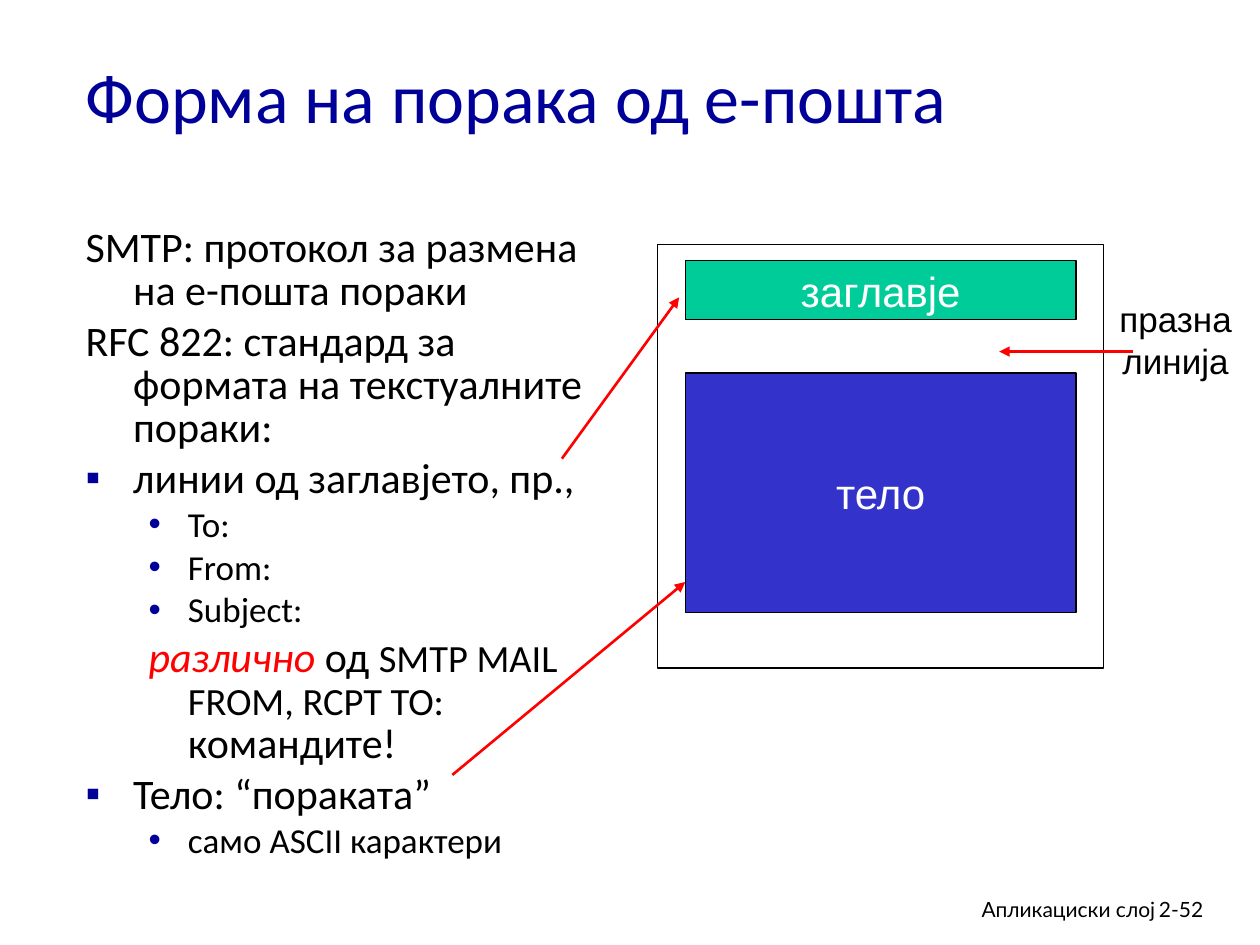
from lxml.etree import SubElement
from pptx import Presentation
from pptx.dml.color import RGBColor
from pptx.enum.shapes import MSO_CONNECTOR as CONN, MSO_SHAPE as SHAPE
from pptx.enum.text import MSO_ANCHOR as ANCHOR, MSO_AUTO_SIZE as AUTO, PP_ALIGN as ALIGN
from pptx.oxml.ns import qn
from pptx.util import Pt

BLACK, WHITE, NAVY, RED = "000000", "FFFFFF", "000099", "FF0000"
GREEN, BLUE = "00CC99", "3333CC"

LINES = [
    (0, None, [("SMTP: протокол за размена на е-пошта пораки", 24)]),
    (0, None, [("RFC 822: стандард за формата на текстуалните пораки:", 24)]),
    (0, "▪", [("линии од заглавјето, пр.,", 24)]),
    (1, "•", [("To:", 20)]),
    (1, "•", [("From:", 20)]),
    (1, "•", [("Subject:", 20)]),
    (1, None, [("различно ", 24, RED, True), ("од ", 24),
               ("SMTP MAIL FROM, RCPT TO:", 22), (" командите!", 24)]),
    (0, "▪", [("Тело: “пораката”", 24)]),
    (1, "•", [("само ASCII карактери", 20)]),
]
INDENTS = [(27.2, -27.2), (58.5, -22.5)]


def rgb(value):
    """Turn a hex string into a colour."""
    return RGBColor.from_string(value)


def style(r, size, font, color=BLACK, italic=False):
    """Format one run."""
    r.font.size, r.font.name, r.font.italic = Pt(size), font, italic
    r.font.color.rgb = rgb(color)


def add_text(s, box, text, size, font, color=BLACK, align=ALIGN.LEFT,
             anchor=ANCHOR.TOP, wrap=True):
    """Add a text box with one format throughout."""
    sp = s.shapes.add_textbox(*map(Pt, box))
    fill_text(sp.text_frame, text, size, font, color, align, anchor, wrap)
    return sp


def fill_text(tf, text, size, font, color, align, anchor, wrap):
    """Set and format the text of a frame."""
    tf.text, tf.word_wrap, tf.vertical_anchor = text, wrap, anchor
    for p in tf.paragraphs:
        p.alignment = align
        for r in p.runs:
            style(r, size, font, color)


def add_rect(s, box, line_width, fill=None, text=""):
    """Add an outlined rectangle, optionally filled and labelled."""
    sp = s.shapes.add_shape(SHAPE.RECTANGLE, *map(Pt, box))
    sp.shadow.inherit = False
    if fill:
        sp.fill.solid()
        sp.fill.fore_color.rgb = rgb(fill)
    else:
        sp.fill.background()
    sp.line.color.rgb, sp.line.width = rgb(BLACK), Pt(line_width)
    if text:
        fill_text(sp.text_frame, text, 24, "Arial", WHITE, ALIGN.CENTER, ANCHOR.MIDDLE, False)


def add_arrow(s, start, end):
    """Add a red arrow that points at its end."""
    c = s.shapes.add_connector(CONN.STRAIGHT, *map(Pt, start + end))
    c.line.color.rgb, c.line.width = rgb(RED), Pt(1.5)
    SubElement(c.line._get_or_add_ln(), qn("a:tailEnd"), type="triangle")
    SubElement(c._element.spPr, qn("a:effectLst"))


def set_bullet(p, level, char):
    """Set the hanging indent and the bullet of a paragraph."""
    pPr = p._p.get_or_add_pPr()
    margin, indent = INDENTS[level]
    pPr.set("marL", str(Pt(margin)))
    pPr.set("indent", str(Pt(indent)))
    if char:
        SubElement(SubElement(pPr, qn("a:buClr")), qn("a:srgbClr"), val=NAVY)
        SubElement(pPr, qn("a:buFont"), typeface="Arial")
        SubElement(pPr, qn("a:buChar"), char=char)
    else:
        SubElement(pPr, qn("a:buNone"))


def add_outline(s, box):
    """Place the bulleted explanation."""
    tf = s.shapes.add_textbox(*map(Pt, box)).text_frame
    tf.word_wrap = True
    for i, (level, char, runs) in enumerate(LINES):
        p = tf.add_paragraph() if i else tf.paragraphs[0]
        p.level, p.line_spacing = level, 0.85
        p.space_before = Pt(0.2 * runs[0][1])
        set_bullet(p, level, char)
        for text, size, *look in runs:
            r = p.add_run()
            r.text = text
            style(r, size, "Calibri", *look)


def add_message(s, left, top, width, height):
    """Place the message diagram with its label and arrows."""
    margin = 15.8
    inner = width - 2 * margin
    add_rect(s, (left + margin, top + 9.3, inner, 33.8), 0.75, GREEN, "заглавје")
    add_rect(s, (left + margin, top + 73.4, inner, 136.8), 0.75, BLUE, "тело")
    add_rect(s, (left, top, width, height), 1)
    label = add_text(s, (left + width + 1.5, top + 26.6, 79.2, 55.4), "празна\nлинија",
                     20, "Arial", align=ALIGN.CENTER, wrap=False)
    label.text_frame.auto_size = AUTO.SHAPE_TO_FIT_TEXT
    for x1, y1, x2, y2 in [(-54.7, 122.4, 12.3, 30.2),
                           (-117.3, 303.1, margin, 192.9),
                           (271.5, 61.2, 195.2, 61.2)]:
        add_arrow(s, (left + x1, top + y1), (left + x2, top + y2))


def add_footer(s, left, top, width, height):
    """Place the chapter name and the page number."""
    split = 228.2
    add_text(s, (left, top, split, height), "Апликациски слој", 12, "Lato", align=ALIGN.RIGHT)
    add_text(s, (left + split - 12.2, top, width - split + 12.2, height), "2-52", 12, "Lato")


def main():
    """Build and save the slide."""
    prs = Presentation()
    prs.slide_width, prs.slide_height = Pt(720), Pt(540)
    s = prs.slides.add_slide(prs.slide_layouts[6])
    add_footer(s, 439.2, 509, 269.3, 22)
    add_text(s, (41.8, 9.4, 612, 90), "Форма на порака од е-пошта", 40, "Calibri", NAVY,
             anchor=ANCHOR.MIDDLE)
    add_outline(s, (41.8, 126.7, 309.6, 365.8))
    add_message(s, 375.8, 139.7, 254.9, 241.9)
    prs.save("out.pptx")


if __name__ == "__main__":
    main()
